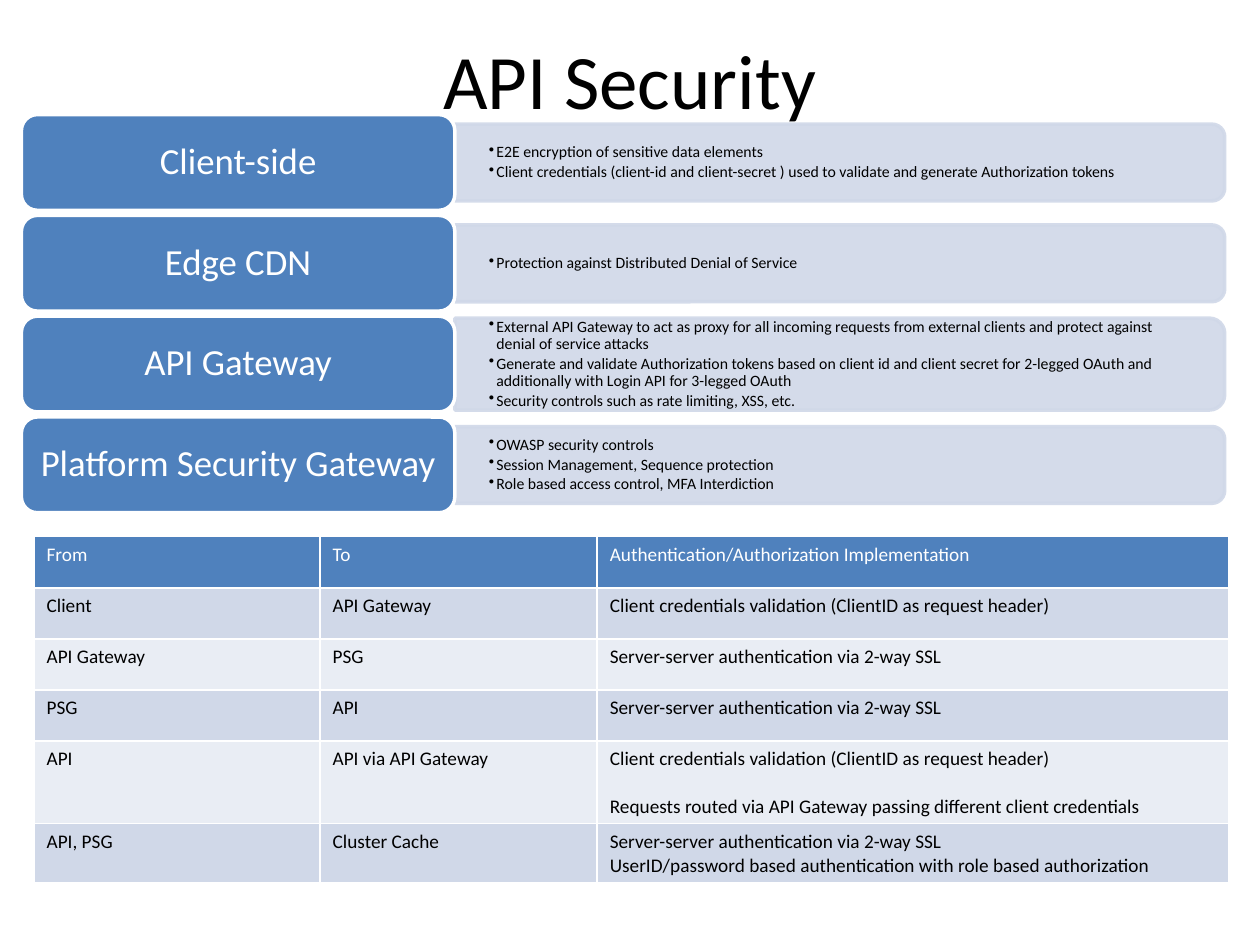
from pptx import Presentation
from pptx.dml.color import RGBColor
from pptx.enum.shapes import MSO_SHAPE
from pptx.enum.text import MSO_ANCHOR, PP_ALIGN
from pptx.oxml.ns import qn
from pptx.util import Inches, Pt
from lxml.etree import SubElement

BLUE = RGBColor(0x4F, 0x81, 0xBD)
PALE = RGBColor(0xD0, 0xD8, 0xE8)
PALER = RGBColor(0xE9, 0xED, 0xF4)
WHITE = RGBColor(0xFF, 0xFF, 0xFF)
BLACK = RGBColor(0, 0, 0)
FONT = "Calibri"

# Layer grid, in inches
LEFT, TOP, PITCH = 0.17, 0.91, 0.8
LABEL_WIDTH, LABEL_HEIGHT = 3.44, 0.76
PANEL_LEFT, PANEL_WIDTH = LEFT + LABEL_WIDTH, 6.11

# Label, panel height, bullet points
LAYERS = [
    ("Client-side", 0.61, [
        "E2E encryption of sensitive data elements",
        "Client credentials (client-id and client-secret ) used to validate "
        "and generate Authorization tokens"]),
    ("Edge CDN", 0.61, ["Protection against Distributed Denial of Service"]),
    ("API Gateway", 0.73, [
        "External API Gateway to act as proxy for all incoming requests from "
        "external clients and protect against denial of service attacks",
        "Generate and validate Authorization tokens based on client id and client "
        "secret for 2-legged OAuth and additionally with Login API for 3-legged OAuth",
        "Security controls such as rate limiting, XSS, etc."]),
    ("Platform Security Gateway", 0.61, [
        "OWASP security controls",
        "Session Management, Sequence protection",
        "Role based access control, MFA Interdiction"]),
]

CREDENTIALS = "Client credentials validation (ClientID as request header)"
TWO_WAY_SSL = "Server-server authentication via 2-way SSL"
COLUMN_WIDTHS = [2.27, 2.2, 5.01]
ROWS = [
    ("From", "To", "Authentication/Authorization Implementation"),
    ("Client", "API Gateway", CREDENTIALS),
    ("API Gateway", "PSG", TWO_WAY_SSL),
    ("PSG", "API", TWO_WAY_SSL),
    ("API", "API via API Gateway", CREDENTIALS
     + "\nRequests routed via API Gateway passing different client credentials"),
    ("API, PSG", "Cluster Cache", TWO_WAY_SSL
     + "\nUserID/password based authentication with role based authorization"),
]


def format_text(frame, size, color, align=None):
    for para in frame.paragraphs:
        para.alignment = align
        for span in para.runs:
            span.font.name = FONT
            span.font.size = Pt(size)
            span.font.bold = False
            span.font.color.rgb = color


def set_margins(frame, side, top=0):
    frame.margin_left = frame.margin_right = Inches(side)
    frame.margin_top = frame.margin_bottom = Inches(top)


def add_bullet(para):
    properties = para._p.get_or_add_pPr()
    properties.set("marL", str(Inches(0.06)))
    properties.set("indent", str(-Inches(0.06)))
    SubElement(properties, qn("a:buChar")).set("char", "•")


def add_block(page, kind, left, top, width, height, fill, line):
    block = page.shapes.add_shape(kind, Inches(left), Inches(top),
                                  Inches(width), Inches(height))
    block.shadow.inherit = False
    block.fill.solid()
    block.fill.fore_color.rgb = fill
    block.line.color.rgb = line
    block.line.width = Pt(2)
    return block


def add_panel(page, middle, height):
    # A quarter turn puts the two rounded corners on the right
    panel = add_block(page, MSO_SHAPE.ROUND_2_SAME_RECTANGLE,
                      PANEL_LEFT + (PANEL_WIDTH - height) / 2,
                      middle - PANEL_WIDTH / 2, height, PANEL_WIDTH, PALE, PALE)
    panel.rotation = 90
    for color in panel._element.spPr.iter(qn("a:srgbClr")):
        SubElement(color, qn("a:alpha")).set("val", "90000")


def add_points(page, middle, height, points):
    box = page.shapes.add_textbox(Inches(PANEL_LEFT), Inches(middle - height / 2),
                                  Inches(PANEL_WIDTH - 0.03), Inches(height))
    frame = box.text_frame
    frame.word_wrap = True
    frame.vertical_anchor = MSO_ANCHOR.MIDDLE
    set_margins(frame, 0.27)
    frame.text = "\n".join(points)
    format_text(frame, 9, BLACK)
    for para in frame.paragraphs:
        para.line_spacing = 0.9
        para.space_after = Pt(1.6)
        add_bullet(para)


def add_label(page, top, text):
    label = add_block(page, MSO_SHAPE.ROUNDED_RECTANGLE, LEFT, top,
                      LABEL_WIDTH, LABEL_HEIGHT, BLUE, WHITE)
    frame = label.text_frame
    frame.vertical_anchor = MSO_ANCHOR.MIDDLE
    set_margins(frame, 0.09, 0.04)
    frame.text = text
    format_text(frame, 21, WHITE, PP_ALIGN.CENTER)
    frame.paragraphs[0].line_spacing = 0.9


def add_flow_table(page):
    row_height = Pt(29.2)
    table = page.shapes.add_table(
        len(ROWS), len(COLUMN_WIDTHS), Inches(0.27), Inches(4.26),
        Inches(sum(COLUMN_WIDTHS)), row_height * len(ROWS)).table
    for column, width in zip(table.columns, COLUMN_WIDTHS):
        column.width = Inches(width)
    for r, texts in enumerate(ROWS):
        for c, text in enumerate(texts):
            cell = table.cell(r, c)
            cell.fill.solid()
            cell.fill.fore_color.rgb = BLUE if r == 0 else PALE if r % 2 else PALER
            cell.text_frame.text = text
            format_text(cell.text_frame, 11, WHITE if r == 0 else BLACK)
    # One line of space between the two parts of the API row
    table.cell(4, 2).text_frame.paragraphs[1].space_before = Pt(13.4)


def set_title(page, text):
    title = page.shapes.title
    title.left, title.top = Inches(0.5), 0
    title.width, title.height = Inches(9), Inches(1.25)
    title.text_frame.text = text
    title.text_frame.vertical_anchor = MSO_ANCHOR.MIDDLE
    format_text(title.text_frame, 44, BLACK, PP_ALIGN.CENTER)
    # Bring the title in front of the first panel
    title._element.getparent().append(title._element)


def main():
    deck = Presentation()
    deck.slide_width, deck.slide_height = Inches(10), Inches(7.5)
    page = deck.slides.add_slide(deck.slide_layouts[5])
    for i, (name, height, points) in enumerate(LAYERS):
        top = TOP + i * PITCH
        middle = top + LABEL_HEIGHT / 2
        add_panel(page, middle, height)
        add_points(page, middle, height, points)
        add_label(page, top, name)
    add_flow_table(page)
    set_title(page, "API Security")
    deck.save("out.pptx")


if __name__ == "__main__":
    main()
